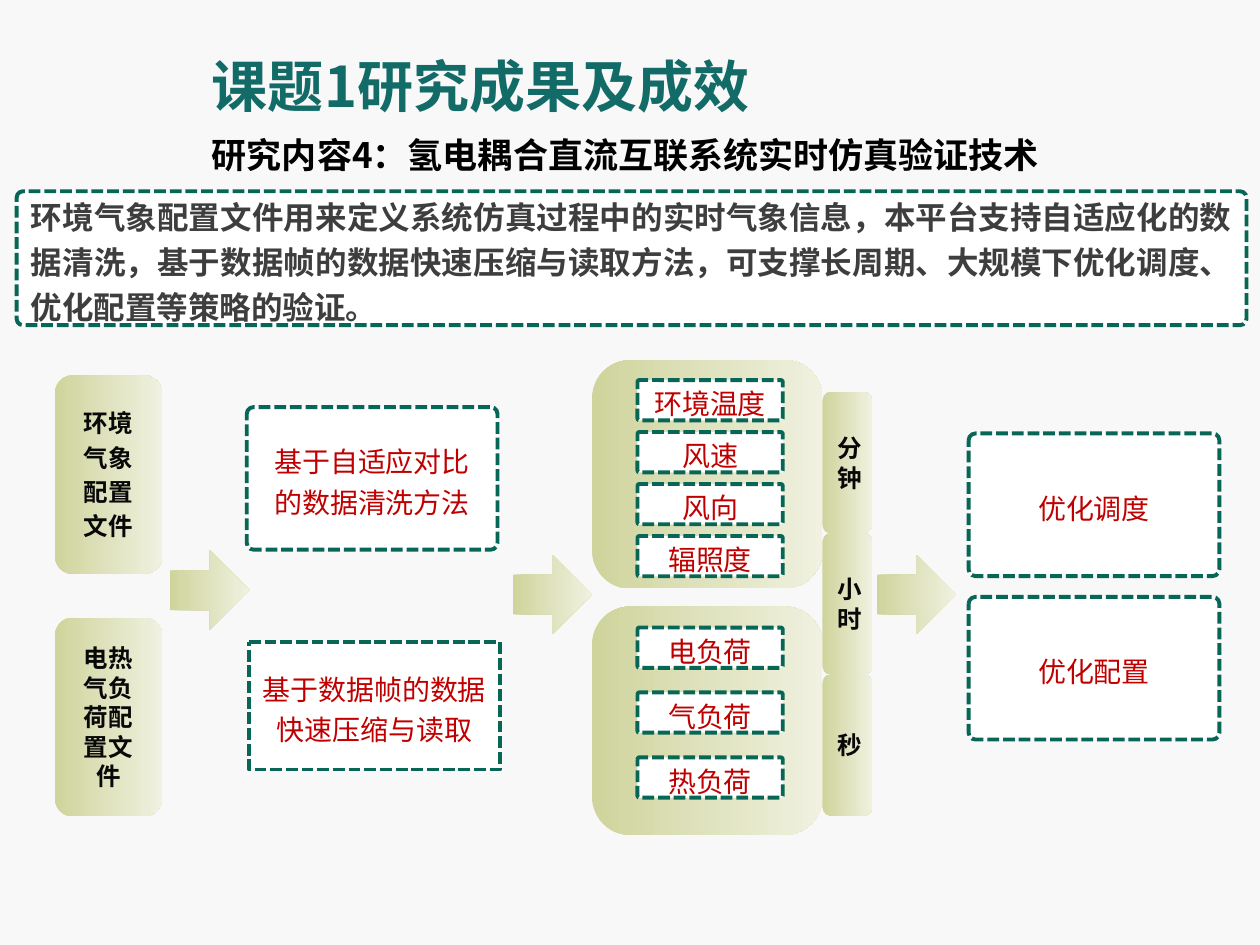
from pptx import Presentation
from pptx.dml.color import RGBColor
from pptx.enum.dml import MSO_LINE_DASH_STYLE as Dash
from pptx.enum.shapes import MSO_SHAPE as Shape
from pptx.enum.text import MSO_ANCHOR as Anchor, PP_ALIGN as Align
from pptx.util import Pt

COLORS = {
    "page": "F8F8F8", "title": "136B67", "subtitle": "000000", "border": "076655",
    "panel": "FFFFFF", "summary": "3E3E3E", "method": "C00000", "label": "080808",
    "olive": "CFD49C", "pale": "F0F1E0",
}
CJK_FONT = "Noto Sans CJK SC"
LATIN_FONT = "Arial"


def color(name):
    """Return the named colour."""
    return RGBColor.from_string(COLORS[name])


def write(box, lines, size, ink, font=CJK_FONT, bold=False, align=Align.CENTER,
          spacing=None, gap=0):
    """Fill a box with vertically centred, formatted paragraphs."""
    frame = box.text_frame
    frame.word_wrap = True
    frame.vertical_anchor = Anchor.MIDDLE
    frame.text = "\n".join(lines)
    for index, para in enumerate(frame.paragraphs):
        para.alignment = align
        if spacing:
            para.line_spacing = spacing
        if index:
            para.space_before = Pt(gap)
        for span in para.runs:
            span.font.name = font
            span.font.size = Pt(size)
            span.font.bold = bold
            span.font.color.rgb = color(ink)


def add_heading(page, left, top, width, height, text, size, ink):
    """Add a bold heading."""
    box = page.shapes.add_textbox(Pt(left), Pt(top), Pt(width), Pt(height))
    write(box, [text], size, ink, bold=True, align=Align.LEFT)


def add_panel(page, left, top, width, height, text, rounding=0.048, size=16,
              ink="method", **style):
    """Add a white panel with a dashed border."""
    panel = page.shapes.add_shape(Shape.ROUNDED_RECTANGLE, Pt(left), Pt(top), Pt(width), Pt(height))
    panel.shadow.inherit = False
    panel.adjustments[0] = rounding
    panel.fill.solid()
    panel.fill.fore_color.rgb = color("panel")
    panel.line.color.rgb = color("border")
    panel.line.width = Pt(2.25)
    panel.line.dash_style = Dash.SQUARE_DOT
    write(panel, [text], size, ink, spacing=1.2, **style)


def add_block(page, left, top, width, height, lines=(), kind=Shape.ROUNDED_RECTANGLE):
    """Add an olive gradient shape with an optional label."""
    block = page.shapes.add_shape(kind, Pt(left), Pt(top), Pt(width), Pt(height))
    block.shadow.inherit = False
    block.fill.gradient()
    block.fill.gradient_angle = 0
    for stop, name, position in zip(block.fill.gradient_stops, ("olive", "pale"), (0, 1)):
        stop.color.rgb = color(name)
        stop.position = position
    block.line.fill.background()
    if lines:
        write(block, lines, 14, "label", font=LATIN_FONT, bold=True, gap=2.8)


def add_inputs(page, left, top):
    """Add the two configuration file blocks."""
    files = [["环境", "气象", "配置", "文件"], ["电热气负荷配置文件"]]
    for index, lines in enumerate(files):
        add_block(page, left, top + index * 138.5, 61.5, 113.5, lines)


def add_methods(page, left, top):
    """Add the two data processing methods."""
    add_panel(page, left, top, 143.28, 81.5, "基于自适应对比的数据清洗方法")
    add_panel(page, left + 1.3, top + 134.4, 143.28, 72.7, "基于数据帧的数据快速压缩与读取", rounding=0)


def add_group(page, left, top, first, pitch, names):
    """Add a gradient card holding evenly spaced quantities."""
    add_block(page, left, top, 131.8, 130.5)
    for index, name in enumerate(names):
        add_panel(page, left + 26, top + first + index * pitch, 83, 23, name)


def add_time_scales(page, left, top):
    """Add the stacked time scale bars."""
    for index, name in enumerate(["分钟", "小时", "秒"]):
        add_block(page, left, top + index * 80.7, 28.3, 80.7, [name])


def add_outputs(page, left, top):
    """Add the two optimisation results."""
    for index, name in enumerate(["优化调度", "优化配置"]):
        add_panel(page, left, top + index * 93.4, 143.28, 81.5, name)


def build_slide(page):
    """Place every region of the slide."""
    page.background.fill.solid()
    page.background.fill.fore_color.rgb = color("page")
    add_heading(page, 114, 65.5, 620, 46, "研究内容4：氢电耦合直流互联系统实时仿真验证技术", 20, "subtitle")
    add_panel(page, 9.5, 109.3, 702.8, 76.5,
              "环境气象配置文件用来定义系统仿真过程中的实时气象信息，本平台支持自适应化的数据清洗，"
              "基于数据帧的数据快速压缩与读取方法，可支撑长周期、大规模下优化调度、优化配置等策略的验证。",
              size=18, ink="summary", bold=True, align=Align.JUSTIFY)
    add_heading(page, 114, 3.6, 594, 90, "课题1研究成果及成效", 32, "title")
    add_inputs(page, 31.2, 214.5)
    add_methods(page, 141, 232.6)
    add_group(page, 338.3, 205.8, 11.4, 29.7, ["环境温度", "风速", "风向", "辐照度"])
    add_group(page, 338.3, 346.6, 12, 37.1, ["电负荷", "气负荷", "热负荷"])
    add_time_scales(page, 470, 224)
    for left, top in [(97.2, 314.6), (292.9, 317), (501, 317)]:
        add_block(page, left, top, 45.4, 45.4, kind=Shape.RIGHT_ARROW)
    add_outputs(page, 553.5, 247.7)


def main():
    """Build and save the deck."""
    deck = Presentation()
    deck.slide_width, deck.slide_height = Pt(720), Pt(540)
    build_slide(deck.slides.add_slide(deck.slide_layouts[6]))
    deck.save("out.pptx")


if __name__ == "__main__":
    main()
